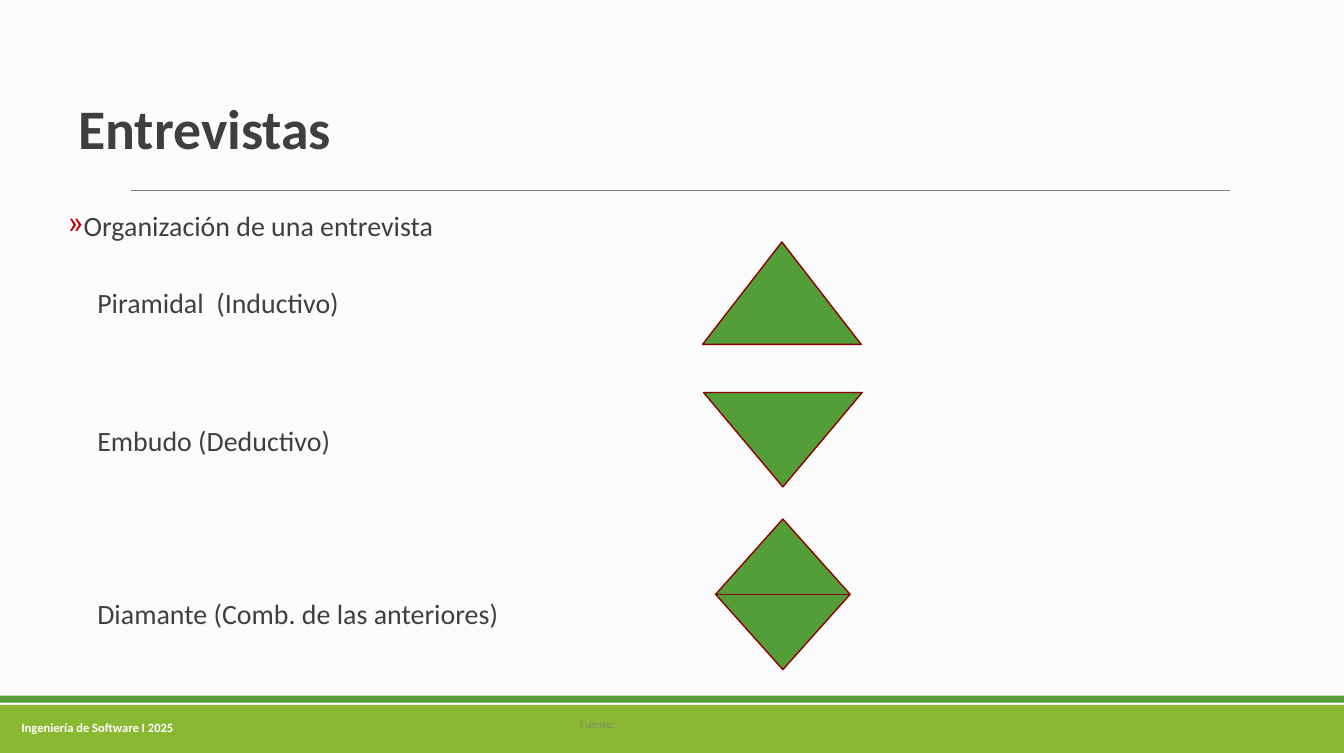
from lxml import etree
from pptx import Presentation
from pptx import util as u
from pptx.dml.color import RGBColor
from pptx.enum import shapes, text
from pptx.oxml.ns import qn

PX = 9144
FONT = "Calibri"
INK = "3F3F3F"
GREEN = "549E39"


def px(value):
    return u.Emu(value * PX)


def color(value):
    return RGBColor.from_string(value)


def add_figure(slide, kind, box, fill, outline=None):
    shape = slide.shapes.add_shape(kind, *map(px, box))
    shape.shadow.inherit = False
    shape.fill.solid()
    shape.fill.fore_color.rgb = color(fill)
    if outline:
        shape.line.color.rgb = color(outline)
        shape.line.width = u.Pt(1)
    else:
        shape.line.fill.background()


def add_run(paragraph, words, size, ink, bold=False):
    run = paragraph.add_run()
    run.text = words
    run.font.name = FONT
    run.font.size = u.Pt(size)
    run.font.bold = bold
    run.font.color.rgb = color(ink)


def add_text_box(slide, box, anchor=text.MSO_ANCHOR.MIDDLE):
    frame = slide.shapes.add_textbox(*map(px, box)).text_frame
    frame.word_wrap = True
    frame.vertical_anchor = anchor
    return frame


def set_indent(paragraph, margin, indent=0, bullet=None, ink=None):
    properties = paragraph._p.get_or_add_pPr()
    properties.set("marL", str(px(margin)))
    properties.set("indent", str(px(indent)))
    if bullet:
        bullet_color = etree.SubElement(properties, qn("a:buClr"))
        etree.SubElement(bullet_color, qn("a:srgbClr"), val=ink)
        etree.SubElement(properties, qn("a:buChar"), char=bullet)


def build_header(slide, left, top, width, height):
    title = slide.shapes.title
    title.left, title.top, title.width, title.height = map(px, (left, top, width, height))
    frame = title.text_frame
    frame.word_wrap = True
    frame.auto_size = text.MSO_AUTO_SIZE.NONE
    frame.vertical_anchor = text.MSO_ANCHOR.MIDDLE
    paragraph = frame.paragraphs[0]
    paragraph.alignment = text.PP_ALIGN.LEFT
    paragraph.line_spacing = 0.85
    add_run(paragraph, "Entrevistas", 40, INK, True)

    rule_y = px(top + height - 3)
    rule = slide.shapes.add_connector(
        shapes.MSO_CONNECTOR.STRAIGHT, px(left + 63), rule_y, px(left + 1157), rule_y)
    rule.line.color.rgb = color("7F7F7F")
    rule.line.width = u.Pt(0.75)
    etree.SubElement(rule._element.spPr, qn("a:effectLst"))


def build_outline(slide, left, top, width, height):
    frame = add_text_box(slide, (left, top, width, height), text.MSO_ANCHOR.TOP)
    frame.margin_left = frame.margin_right = 0
    heading = frame.paragraphs[0]
    set_indent(heading, 8, -14, "»", "C00000")
    heading.line_spacing = 0.85
    add_run(heading, "Organización de una entrevista", 20, INK)
    structures = (
        ("Piramidal  (Inductivo)", 34.5),
        ("Embudo (Deductivo)", 79),
        ("Diamante (Comb. de las anteriores)", 103.5),
    )
    for words, space in structures:
        paragraph = frame.add_paragraph()
        set_indent(paragraph, 29)
        paragraph.line_spacing = 0.85
        paragraph.space_before = u.Pt(space)
        add_run(paragraph, words, 20, INK)


def build_figures(slide, left, top):
    kinds = shapes.MSO_SHAPE
    figures = (
        (kinds.ISOSCELES_TRIANGLE, 0, 0, 158, 102),
        (kinds.FLOWCHART_MERGE, 1, 150, 158, 94),
        (kinds.FLOWCHART_SORT, 13, 276, 134, 150),
    )
    for kind, x, y, width, height in figures:
        add_figure(slide, kind, (left + x, top + y, width, height), GREEN, "8C0000")


def build_footer(slide, left, top, width, height):
    rectangle = shapes.MSO_SHAPE.RECTANGLE
    add_figure(slide, rectangle, (left, top + 9, width, height - 9), "8AB833")
    add_figure(slide, rectangle, (left, top, width, 7), GREEN)

    course = add_text_box(slide, (left, top + 12, 194, 40)).paragraphs[0]
    course.alignment = text.PP_ALIGN.CENTER
    add_run(course, "Ingeniería de Software I 2025", 9, "FFFFFF", True)

    source = add_text_box(slide, (left + 568, top + 13, 200, 30)).paragraphs[0]
    add_run(source, "Fuente:", 8, "7F8F5F")


def main():
    presentation = Presentation()
    presentation.slide_width = px(1339)
    presentation.slide_height = px(750)
    slide = presentation.slides.add_slide(presentation.slide_layouts[5])
    slide.background.fill.solid()
    slide.background.fill.fore_color.rgb = color("FBFBFB")
    build_footer(slide, 0, 693, 1339, 57)
    build_header(slide, 68, 70, 1183, 123)
    build_outline(slide, 68, 208, 600, 470)
    build_figures(slide, 700, 241)
    presentation.save("out.pptx")


if __name__ == "__main__":
    main()
